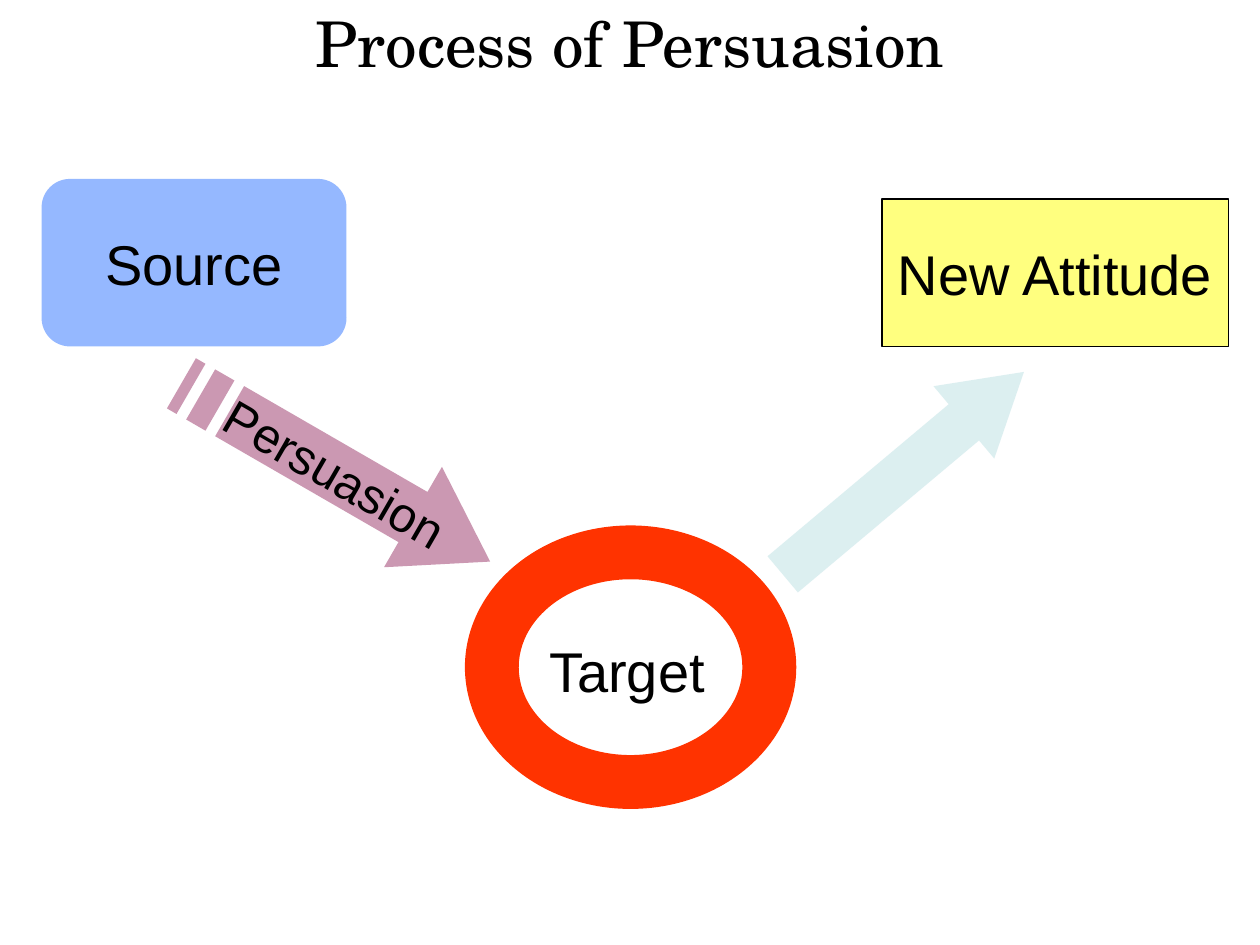
from dataclasses import dataclass

from lxml.etree import SubElement
from pptx import Presentation
from pptx.dml.color import RGBColor
from pptx.enum.shapes import MSO_SHAPE
from pptx.enum.text import MSO_ANCHOR, MSO_AUTO_SIZE, PP_ALIGN
from pptx.oxml.ns import qn
from pptx.util import Inches, Pt


@dataclass(frozen=True)
class Theme:
    title_font: str = "TeX Gyre Schola"
    label_font: str = "Arial"
    title_size: int = 36
    label_size: int = 32
    arrow_size: int = 28
    text: str = "000000"
    source: str = "2D73FF"
    target: str = "FF3300"
    persuasion: str = "993366"
    change: str = "BBE0E3"
    attitude: str = "FFFF00"


THEME = Theme()


def inches(*lengths):
    return [Inches(length) for length in lengths]


def write_text(shape, text, size=THEME.label_size, font=THEME.label_font,
               align=PP_ALIGN.CENTER, **frame_format):
    frame_values = {"word_wrap": False, "vertical_anchor": MSO_ANCHOR.MIDDLE} | frame_format
    for name, value in frame_values.items():
        setattr(shape.text_frame, name, value)
    paragraph = shape.text_frame.paragraphs[0]
    paragraph.text = text
    paragraph.alignment = align
    for name, value in {"name": font, "size": Pt(size)}.items():
        setattr(paragraph.font, name, value)
    paragraph.font.color.rgb = RGBColor.from_string(THEME.text)


def paint(shape, color, opacity=100, outline=None):
    """Give the shape a flat fill, with opacity in percent, and an optional thin outline."""
    shape.shadow.inherit = False
    shape.fill.solid()
    shape.fill.fore_color.rgb = RGBColor.from_string(color)
    if opacity < 100:
        color_element = shape.fill._xPr.find(f".//{qn('a:srgbClr')}")
        SubElement(color_element, qn("a:alpha"), val=str(opacity * 1000))
    if outline:
        shape.line.color.rgb = RGBColor.from_string(outline)
        shape.line.width = Pt(0.75)
    else:
        shape.line.fill.background()


def add_preset(shapes, preset, box, adjustments=(), rotation=0):
    shape = shapes.add_shape(preset, *inches(*box))
    for index, value in enumerate(adjustments):
        shape.adjustments[index] = value
    shape.rotation = rotation
    return shape


def add_striped_arrow(shapes, left, top, width, height, rotation):
    """Draw a right arrow whose tail has two stripes, in steps of 1/32 of its width."""
    step = width / 32

    def stripe(start, end):
        return [(start * step, height / 4), (end * step, height / 4),
                (end * step, height * 3 / 4), (start * step, height * 3 / 4)]

    tail_top, neck_top, neck_bottom, tail_bottom = stripe(5, 24)
    neck = neck_top[0]
    body = [tail_top, neck_top, (neck, 0), (width, height / 2), (neck, height),
            neck_bottom, tail_bottom]
    builder = None
    for contour in (body, stripe(0, 1), stripe(2, 4)):
        first, *rest = [inches(*point) for point in contour]
        if builder is None:
            builder = shapes.build_freeform(*first, scale=1.0)
        else:
            builder.move_to(*first)
        builder.add_line_segments(rest, close=True)
    shape = builder.convert_to_shape(*inches(left, top))
    shape.rotation = rotation
    return shape


def add_target(shapes):
    group = shapes.add_group_shape()
    ring = add_preset(group.shapes, MSO_SHAPE.DONUT, (3.69, 4.17, 2.63, 2.25), [0.19])
    paint(ring, THEME.target)
    label = group.shapes.add_textbox(*inches(4.26, 5, 1.48, 0.64))
    write_text(label, "Target", align=PP_ALIGN.LEFT, vertical_anchor=MSO_ANCHOR.TOP,
               auto_size=MSO_AUTO_SIZE.SHAPE_TO_FIT_TEXT)


def main():
    presentation = Presentation()
    presentation.slide_width, presentation.slide_height = inches(10, 7.5)
    slide = presentation.slides.add_slide(presentation.slide_layouts[6])
    shapes = slide.shapes

    title = shapes.add_textbox(*inches(0, 0, 10, 0.67))
    write_text(title, "Process of Persuasion", THEME.title_size, THEME.title_font,
               word_wrap=True)

    source = add_preset(shapes, MSO_SHAPE.ROUNDED_RECTANGLE, (0.33, 1.42, 2.42, 1.33), [0.17])
    paint(source, THEME.source, opacity=50)
    write_text(source, "Source")

    add_target(shapes)

    persuasion = add_striped_arrow(shapes, 1.25, 3.29, 2.83, 0.92, rotation=30)
    paint(persuasion, THEME.persuasion, opacity=50)
    write_text(persuasion, "Persuasion", THEME.arrow_size)

    change = add_preset(shapes, MSO_SHAPE.RIGHT_ARROW, (5.92, 3.38, 2.5, 0.75),
                        [0.5, 0.83], rotation=320)
    paint(change, THEME.change, opacity=50)

    attitude = add_preset(shapes, MSO_SHAPE.RECTANGLE, (7, 1.58, 2.75, 1.17))
    paint(attitude, THEME.attitude, opacity=50, outline=THEME.text)
    write_text(attitude, "New Attitude")

    presentation.save("out.pptx")


if __name__ == "__main__":
    main()
